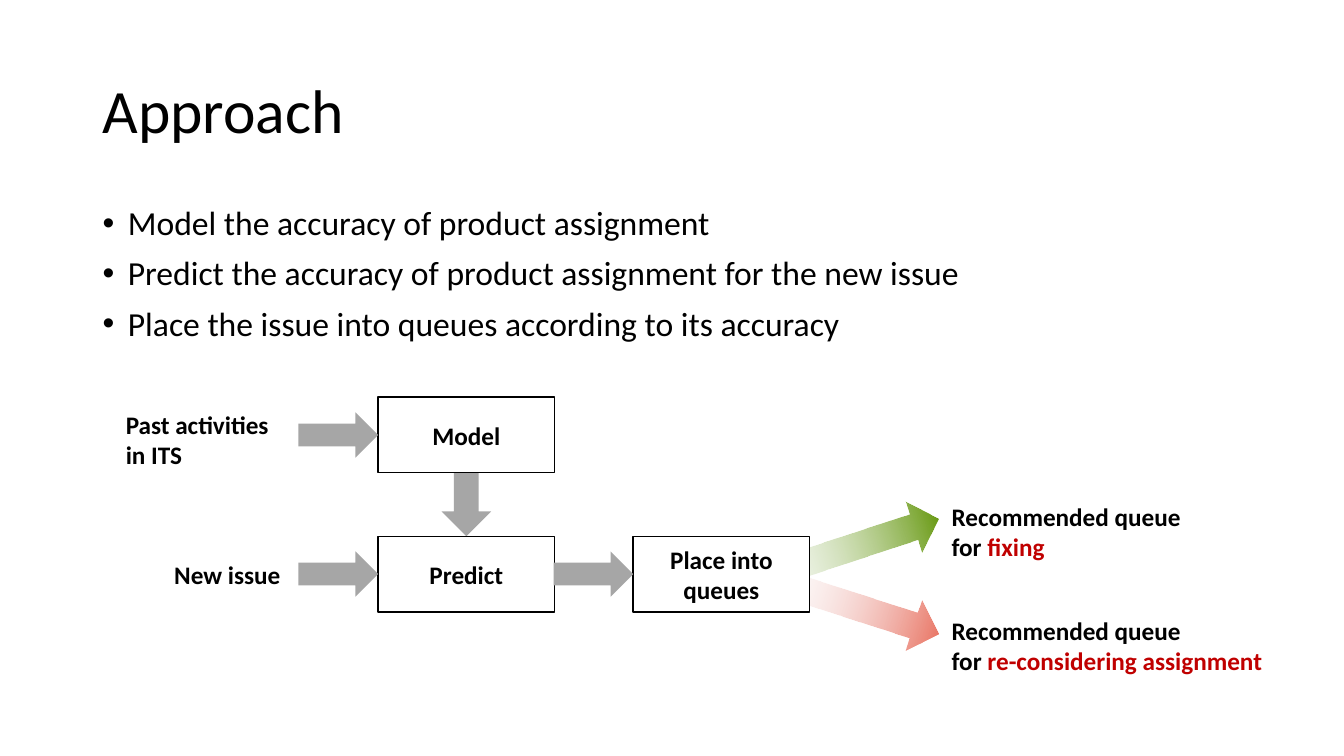
"""Build the Approach slide: three bullets above a flow from issues to queues."""
from lxml.etree import SubElement
from pptx import Presentation
from pptx.dml.color import RGBColor
from pptx.enum.shapes import MSO_SHAPE
from pptx.enum.text import MSO_ANCHOR, PP_ALIGN
from pptx.oxml.ns import qn
from pptx.util import Inches, Pt

WIDE, HIGH = 13.33, 7.5
BLACK, WHITE, GREY, RED = "000000", "FFFFFF", "A6A6A6", "C00000"
TITLE = "Approach"
BULLETS = [
    "Model the accuracy of product assignment",
    "Predict the accuracy of product assignment for the new issue",
    "Place the issue into queues according to its accuracy",
]
COLS, ROWS = (3.75, 6.28), (3.94, 5.32)
BOX_W, BOX_H = 1.75, 0.75
GAP, ARROW_H = 0.79, 0.45
BOXES = [("Model", 0, 0), ("Predict", 0, 1), ("Place into queues", 1, 1)]
FLOWS = [(0, 0), (0, 1), (1, 1)]
LABELS = [
    ([["Past activities in ITS"]], (1.15, 4.01, 1.8, 0.71)),
    ([["New issue"]], (1.63, 5.5, 1.87, 0.4)),
    ([["Recommended queue for ", ("fixing", RED)]], (9.34, 4.92, 2.56, 0.71)),
    ([["Recommended queue"], ["for ", ("re-considering assignment", RED)]],
     (9.34, 6.05, 3.31, 0.71)),
]
FADES = [
    ((7.26, 5.21, 2.1, 0.53), -18, "5D9200"),
    ((7.54, 5.74, 1.81, 0.53), 17.9, "E96B59"),
]


def color(code):
    return RGBColor.from_string(code)


def write(shape, paras, size=18, bold=True, align=PP_ALIGN.LEFT,
          anchor=MSO_ANCHOR.TOP, line=None, bullet=False):
    frame = shape.text_frame
    frame.word_wrap = True
    frame.vertical_anchor = anchor
    for i, runs in enumerate(paras):
        para = frame.add_paragraph() if i else frame.paragraphs[0]
        if bullet:
            props = para._p.get_or_add_pPr()
            props.set("marL", str(Inches(0.25)))
            props.set("indent", str(-Inches(0.25)))
            SubElement(props, qn("a:buFont"), typeface="Arial")
            SubElement(props, qn("a:buChar"), char="•")
            para.space_before = Pt(10 if i else 0)
        para.alignment = align
        if line:
            para.line_spacing = line
        for part in runs:
            text, code = (part, BLACK) if isinstance(part, str) else part
            run = para.add_run()
            run.text = text
            font = run.font
            font.name, font.size, font.bold = "Calibri", Pt(size), bold
            font.color.rgb = color(code)


def place(slide, kind, area, fill=None, line=None):
    shape = slide.shapes.add_shape(kind, *map(Inches, area))
    shape.shadow.inherit = False
    if fill:
        shape.fill.solid()
        shape.fill.fore_color.rgb = color(fill)
    if line:
        shape.line.color.rgb = color(line)
        shape.line.width = Pt(1)
    else:
        shape.line.fill.background()
    return shape


def fade(slide, area, turn, code):
    shape = place(slide, MSO_SHAPE.RIGHT_ARROW, area)
    shape.rotation = turn
    shape.fill.gradient()
    shape.fill.gradient_angle = 0
    for stop, tone in zip(shape.fill.gradient_stops, ("F7FAFD", code)):
        stop.color.rgb = color(tone)
    first = next(shape.element.iter(qn("a:srgbClr")))
    SubElement(first, qn("a:alpha"), val="0")


def label(slide, paras, area, **style):
    write(slide.shapes.add_textbox(*map(Inches, area)), paras, **style)


def main():
    deck = Presentation()
    deck.slide_width, deck.slide_height = Inches(WIDE), Inches(HIGH)
    slide = deck.slides.add_slide(deck.slide_layouts[6])
    for item in FADES:
        fade(slide, *item)
    drop = ROWS[0] + BOX_H
    mid = COLS[0] + BOX_W / 2
    place(slide, MSO_SHAPE.DOWN_ARROW,
          (mid - 0.245, drop, 0.49, ROWS[1] - drop), GREY)
    label(slide, [[TITLE]], (0.92, 0.4, 11.5, 1.45), size=44, bold=False,
          anchor=MSO_ANCHOR.MIDDLE, line=0.9)
    label(slide, [[text] for text in BULLETS], (0.92, 2, 11.5, 1.6),
          size=24, bold=False, line=0.9, bullet=True)
    for text, col, row in BOXES:
        box = place(slide, MSO_SHAPE.RECTANGLE,
                    (COLS[col], ROWS[row], BOX_W, BOX_H), WHITE, BLACK)
        write(box, [[text]], align=PP_ALIGN.CENTER, anchor=MSO_ANCHOR.MIDDLE)
    for col, row in FLOWS:
        top = ROWS[row] + (BOX_H - ARROW_H) / 2
        place(slide, MSO_SHAPE.RIGHT_ARROW,
              (COLS[col] - GAP, top, GAP, ARROW_H), GREY)
    for paras, area in LABELS:
        label(slide, paras, area)
    deck.save("out.pptx")


if __name__ == "__main__":
    main()
